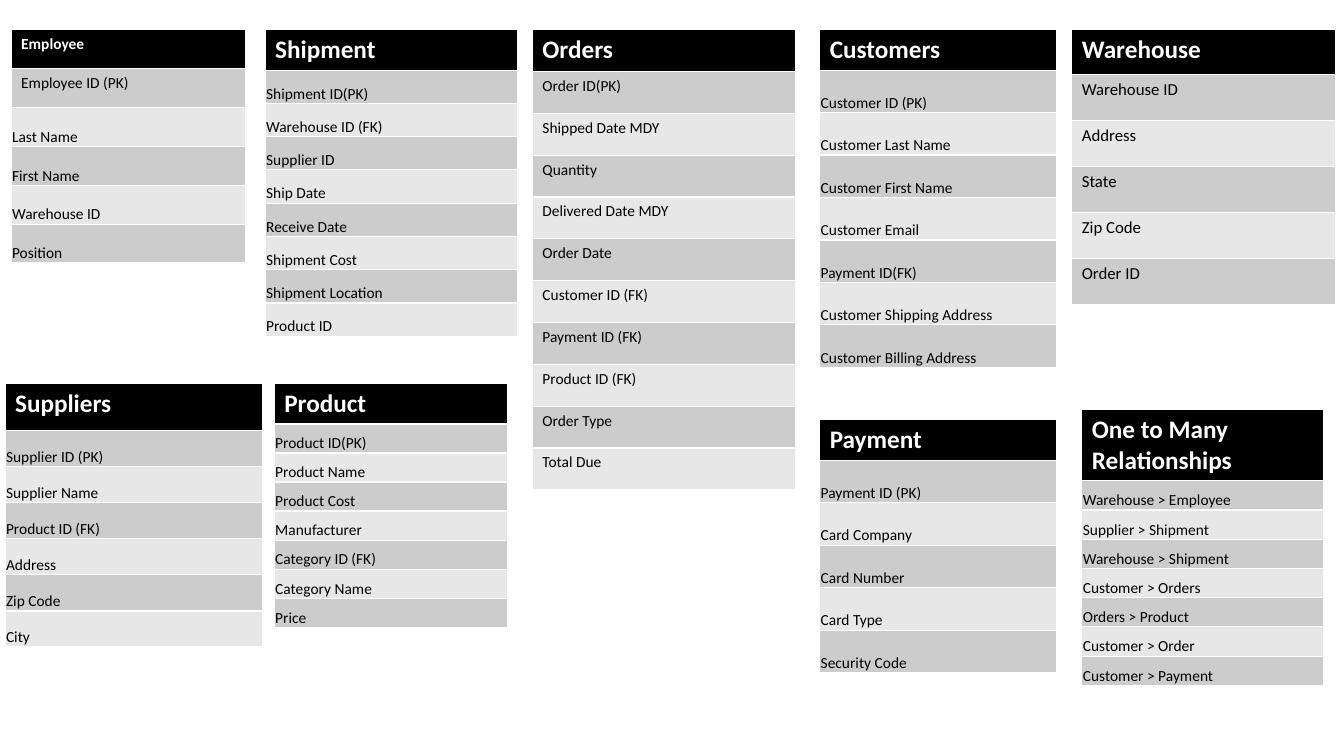
from pptx import Presentation
from pptx import util as u
from pptx.dml.color import RGBColor
from pptx.enum import text

THEME = {
    "font": "Calibri", "head_fill": "000000", "head_text": "FFFFFF", "body_text": "000000",
    "bands": ("CCCCCC", "E7E7E7"), "head_size": 18, "body_size": 11, "large_size": 12,
}

# Left, top, width, height, header height, name, fields (inches)
ENTITIES = [
    (0.11, 0.29, 2.33, 2.32, 0.39, "Employee",
     ["Employee ID (PK)", "Last Name", "First Name", "Warehouse ID", "Position"]),
    (8.13, 0.29, 2.35, 3.35, 0.40, "Customers",
     ["Customer ID (PK)", "Customer Last Name", "Customer First Name", "Customer Email",
      "Payment ID(FK)", "Customer Shipping Address", "Customer Billing Address"]),
    (2.72, 3.80, 2.31, 2.42, 0.40, "Product",
     ["Product ID(PK)", "Product Name", "Product Cost", "Manufacturer",
      "Category ID (FK)", "Category Name", "Price"]),
    (0.05, 3.80, 2.55, 2.62, 0.47, "Suppliers",
     ["Supplier ID (PK)", "Supplier Name", "Product ID (FK)", "Address", "Zip Code", "City"]),
    (8.13, 4.16, 2.35, 2.51, 0.40, "Payment",
     ["Payment ID (PK)", "Card Company", "Card Number", "Card Type", "Security Code"]),
    (2.63, 0.29, 2.50, 3.04, 0.40, "Shipment",
     ["Shipment ID(PK)", "Warehouse ID (FK)", "Supplier ID", "Ship Date",
      "Receive Date", "Shipment Cost", "Shipment Location", "Product ID"]),
    (10.63, 0.29, 2.62, 2.73, 0.45, "Warehouse",
     ["Warehouse ID", "Address", "State", "Zip Code", "Order ID"]),
    (5.28, 0.29, 2.61, 4.57, 0.42, "Orders",
     ["Order ID(PK)", "Shipped Date MDY", "Quantity", "Delivered Date MDY", "Order Date",
      "Customer ID (FK)", "Payment ID (FK)", "Product ID (FK)", "Order Type", "Total Due"]),
    (10.73, 4.06, 2.40, 2.71, 0.68, "One to Many Relationships",
     ["Warehouse > Employee", "Supplier > Shipment", "Warehouse > Shipment",
      "Customer > Orders", "Orders > Product", "Customer > Order", "Customer > Payment"]),
]
ROOMY = ("Warehouse", "Orders")  # fields at the top of the cell, with normal margins


def fill_cell(cell, words, fill, color, size, bold=False):
    cell.fill.solid()
    cell.fill.fore_color.rgb = RGBColor.from_string(fill)
    cell.text_frame.text = words
    font = cell.text_frame.paragraphs[0].runs[0].font
    font.name, font.size, font.bold = THEME["font"], u.Pt(size), bold
    font.color.rgb = RGBColor.from_string(color)


prs = Presentation()
prs.slide_width, prs.slide_height = u.Inches(13.33), u.Inches(7.5)
s = prs.slides.add_slide(prs.slide_layouts[6])

for left, top, width, height, head, name, fields in ENTITIES:
    box = [u.Inches(v) for v in (left, top, width, height)]
    tbl = s.shapes.add_table(len(fields) + 1, 1, *box).table

    # Header row
    tbl.rows[0].height = u.Inches(head)
    head_size = THEME["body_size"] if name == "Employee" else THEME["head_size"]
    fill_cell(tbl.cell(0, 0), name, THEME["head_fill"], THEME["head_text"], head_size, True)

    # Field rows share the remaining height
    size = THEME["large_size"] if name == "Warehouse" else THEME["body_size"]
    for i, field in enumerate(fields):
        tbl.rows[i + 1].height = u.Inches((height - head) / len(fields))
        cell = tbl.cell(i + 1, 0)
        fill_cell(cell, field, THEME["bands"][i % 2], THEME["body_text"], size)
        if name not in ROOMY and field != "Employee ID (PK)":
            cell.vertical_anchor = text.MSO_ANCHOR.BOTTOM
            cell.margin_left = cell.margin_right = cell.margin_top = u.Inches(0.01)
            cell.margin_bottom = 0

prs.save("out.pptx")
